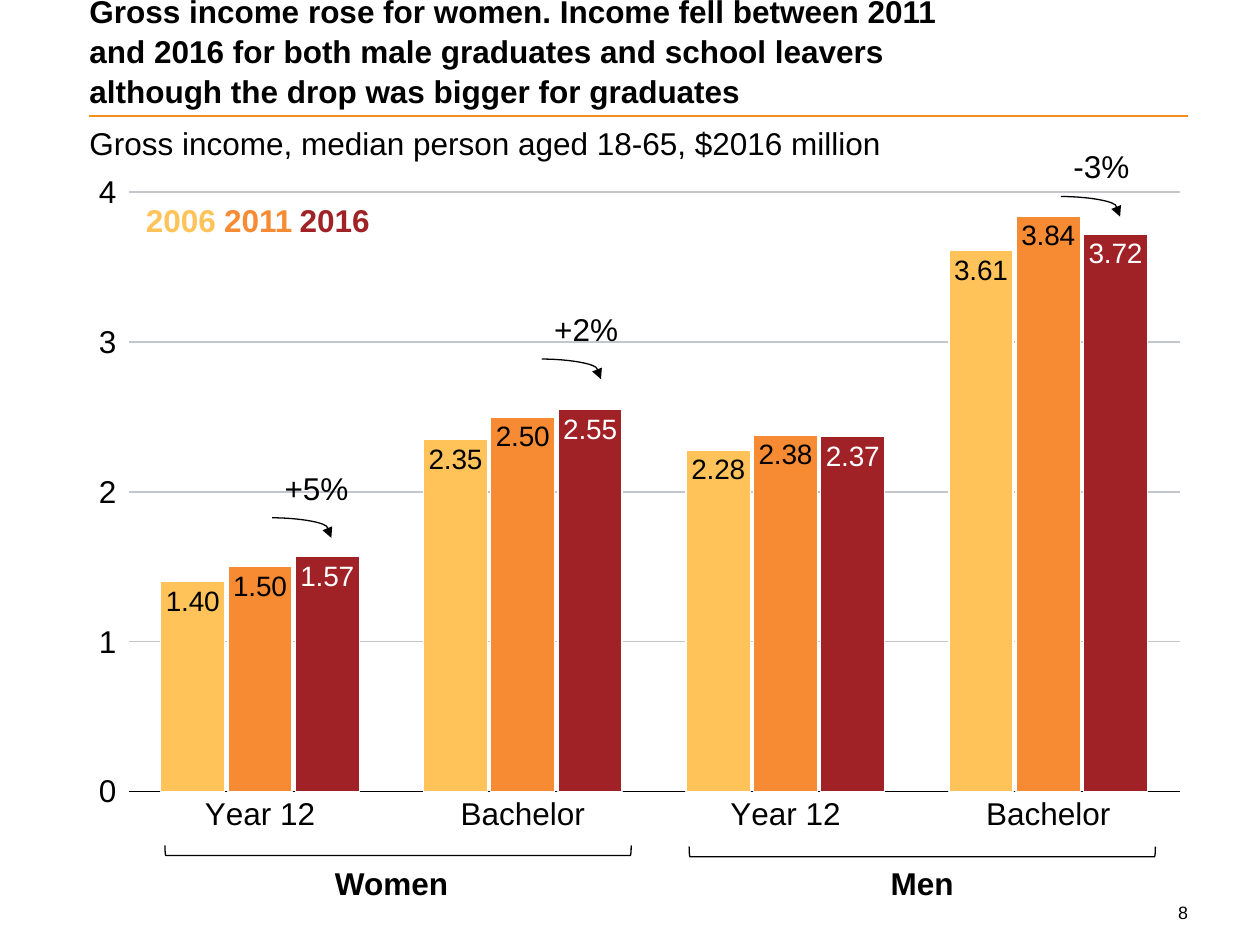
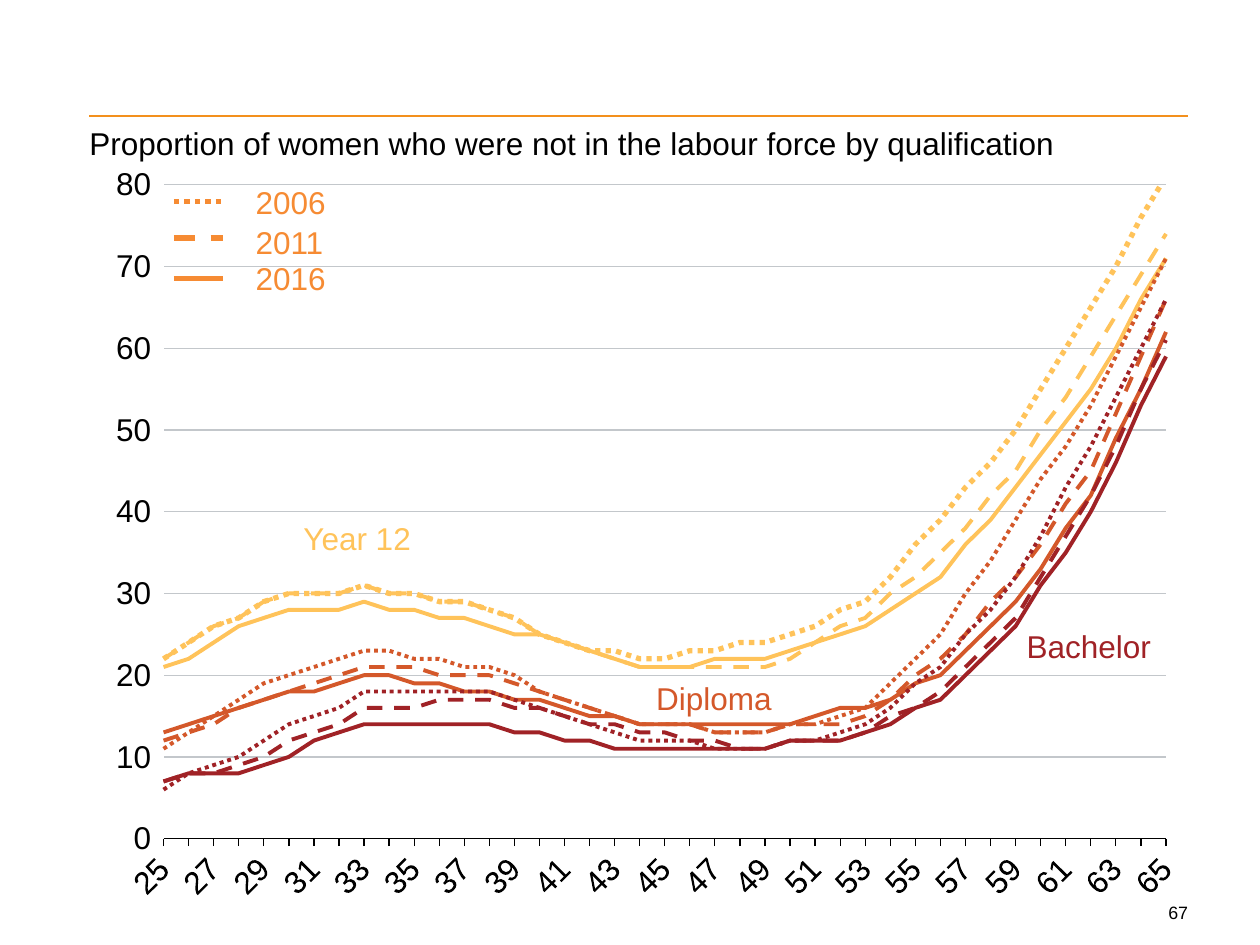
"""Build two slides on income and labour force participation by qualification."""
import itertools

import pptx
import pptx.chart.data
import pptx.dml.color
import pptx.enum.chart
import pptx.enum.dml
import pptx.enum.shapes
import pptx.enum.text
import pptx.oxml
import pptx.oxml.ns
import pptx.util

PX = 9144
FONT = "Arial"
BLACK, WHITE, GRID, RULE = "000000", "FFFFFF", "C3C7CB", "F3901D"
YELLOW, ORANGE, RUST, RED = "FFC35A", "F68B33", "D4582A", "A02226"
YEARS = ["2006", "2011", "2016"]
ALIGN = pptx.enum.text.PP_ALIGN
ANCHOR = pptx.enum.text.MSO_ANCHOR
CHART = pptx.enum.chart.XL_CHART_TYPE
TICK = pptx.enum.chart.XL_TICK_MARK
DASH = pptx.enum.dml.MSO_LINE
CONNECTOR = pptx.enum.shapes.MSO_CONNECTOR
DASHES = [DASH.ROUND_DOT, DASH.DASH, None]
qn = pptx.oxml.ns.qn


def px(*lengths):
    return [pptx.util.Emu(length * PX) for length in lengths]


def colour(code):
    return pptx.dml.color.RGBColor.from_string(code)


def element(tag, **attributes):
    prefix = tag.split(":")[0]
    node = pptx.oxml.parse_xml(f"<{tag} {pptx.oxml.ns.nsdecls(prefix)}/>")
    for name, value in attributes.items():
        node.set(name, str(value))
    return node


def style_font(font, size=18, code=BLACK, bold=False):
    font.name, font.size, font.bold = FONT, pptx.util.Pt(size), bold
    font.color.rgb = colour(code)


def style_line(line, code, width=0.75, dash=None):
    line.color.rgb = colour(code)
    line.width = pptx.util.Pt(width)
    if dash is not None:
        line.dash_style = dash


def yearly(ages, shares):
    values = [shares[0]]
    for (age, share), (next_age, next_share) in itertools.pairwise(zip(ages, shares)):
        slope = (next_share - share) / (next_age - age)
        values += [round(share + slope * step) for step in range(1, next_age - age + 1)]
    return values


class Deck:
    """Holds the shared style and the current slide."""

    def __init__(self):
        self.deck = pptx.Presentation()
        self.deck.slide_width, self.deck.slide_height = px(1000, 750)
        self.page = None

    def start(self, number, subtitle, title=None):
        self.page = self.deck.slides.add_slide(self.deck.slide_layouts[6])
        self.line(71, 92, 943, 92, RULE, 1.5)
        self.text(number, 926, 716, 17, 17, size=10.2, inset=False, align=ALIGN.RIGHT)
        if title:
            self.text(title, 71, -4, 698, 91, bold=True, inset=False, wrap=True,
                      anchor=ANCHOR.BOTTOM, spacing=1.05)
        self.text(subtitle, 71, 97, 873, 31, inset=False, wrap=True, spacing=1.05)

    def text(self, words, left, top, width, height=40, code=BLACK, size=18, bold=False,
             inset=True, wrap=False, align=ALIGN.LEFT, anchor=ANCHOR.TOP, spacing=None):
        box = self.page.shapes.add_textbox(*px(left, top, width, height))
        frame = box.text_frame
        frame.text = words
        frame.word_wrap = wrap
        frame.vertical_anchor = anchor
        if not inset:
            frame.margin_left = frame.margin_right = 0
            frame.margin_top = frame.margin_bottom = 0
        para = frame.paragraphs[0]
        para.alignment = align
        if spacing:
            para.line_spacing = spacing
        for span in para.runs:
            style_font(span.font, size, code, bold)

    def line(self, x1, y1, x2, y2, code, width, dash=None, kind=CONNECTOR.STRAIGHT):
        connector = self.page.shapes.add_connector(kind, *px(x1, y1, x2, y2))
        style_line(connector.line, code, width, dash)
        connector._element.spPr.append(element("a:effectLst"))
        return connector

    def curved_arrow(self, left, top):
        arrow = self.line(left, top, left + 47, top + 16, BLACK, 0.75, kind=CONNECTOR.CURVE)
        properties = arrow._element.spPr
        guides = properties.find(qn("a:prstGeom")).find(qn("a:avLst"))
        guides.append(element("a:gd", name="adj1", fmla="val 93700"))
        properties.find(qn("a:ln")).append(element("a:tailEnd", type="triangle"))

    def bracket(self, left, top):
        kind = pptx.enum.shapes.MSO_SHAPE.LEFT_BRACKET
        shape = self.page.shapes.add_shape(kind, *px(left, top, 8, 370))
        shape.rotation = 270
        shape.shadow.inherit = False
        shape.fill.background()
        style_line(shape.line, BLACK)

    def chart(self, kind, height, categories, series, plot_area, top_value, step, cross):
        data = pptx.chart.data.CategoryChartData()
        data.categories = categories
        for name, values in series:
            data.add_series(name, values)
        chart = self.page.shapes.add_chart(kind, *px(61, 128, 894, height), data).chart
        chart.has_legend = chart.has_title = False
        style_font(chart.font)
        chart.plots[0].vary_by_categories = False

        value_axis, category_axis = chart.value_axis, chart.category_axis
        value_axis.minimum_scale, value_axis.maximum_scale = 0, top_value
        value_axis.major_unit = step
        value_axis.has_major_gridlines = True
        style_line(value_axis.major_gridlines.format.line, GRID)
        value_axis.format.line.fill.background()
        value_axis.tick_labels.number_format = "0"
        value_axis.tick_labels.number_format_is_linked = False
        style_line(category_axis.format.line, BLACK)
        for axis in (value_axis, category_axis):
            style_font(axis.tick_labels.font)

        for old in value_axis._element.findall(qn("c:crossBetween")):
            value_axis._element.remove(old)
        crosses = value_axis._element.find(qn("c:crosses"))
        crosses.addnext(element("c:crossBetween", val=cross))
        self.place_plot(chart, plot_area)
        return chart

    def place_plot(self, chart, plot_area):
        area = chart._chartSpace.chart.plotArea
        for old in area.findall(qn("c:layout")):
            area.remove(old)
        layout, manual = element("c:layout"), element("c:manualLayout")
        manual.append(element("c:layoutTarget", val="inner"))
        for side in "xy":
            manual.append(element(f"c:{side}Mode", val="edge"))
        for side, share in zip("xywh", plot_area):
            manual.append(element(f"c:{side}", val=share))
        layout.append(manual)
        area.insert(0, layout)

    def columns(self, categories, series, codes, label_codes):
        chart = self.chart(CHART.COLUMN_CLUSTERED, 544, categories, series,
                           (0.046, 0.045, 0.933, 0.875), 4, 1, "between")
        chart.category_axis.major_tick_mark = TICK.NONE
        plot = chart.plots[0]
        plot.gap_width, plot.overlap = 100, -5
        for bars, code, label_code in zip(plot.series, codes, label_codes):
            bars.invert_if_negative = False
            bars.format.fill.solid()
            bars.format.fill.fore_color.rgb = colour(code)
            style_line(bars.format.line, WHITE)
            labels = bars.data_labels
            labels.show_value = True
            labels.number_format, labels.number_format_is_linked = "0.00", False
            labels.position = pptx.enum.chart.XL_LABEL_POSITION.INSIDE_END
            style_font(labels.font, 16, label_code)

    def lines(self, categories, series, codes):
        chart = self.chart(CHART.LINE, 587, categories, series,
                           (0.077, 0.032, 0.89, 0.886), 80, 10, "midCat")
        axis = chart.category_axis
        axis.major_tick_mark = TICK.OUTSIDE
        axis._element.find(qn("c:txPr")).find(qn("a:bodyPr")).set("rot", "-2700000")
        axis._element.find(qn("c:lblOffset")).addnext(element("c:tickLblSkip", val=2))
        for index, curve in enumerate(chart.plots[0].series):
            curve.smooth = False
            curve.marker.style = pptx.enum.chart.XL_MARKER_STYLE.NONE
            style_line(curve.format.line, codes[index // 3], 3 if index == 0 else 2.25,
                       DASHES[index % 3])


INCOMES = [
    [1.40, 2.35, 2.28, 3.61],
    [1.50, 2.50, 2.38, 3.84],
    [1.57, 2.55, 2.37, 3.72],
]

TURNING_AGES = [25, 29, 33, 38, 41, 44, 49, 53, 56, 59, 62, 65]
NOT_IN_LABOUR_FORCE = {
    "Year 12": [
        [22, 29, 31, 28, 24, 22, 24, 29, 39, 50, 65, 81],
        [22, 29, 31, 28, 24, 21, 21, 27, 35, 45, 59, 74],
        [21, 27, 29, 26, 24, 21, 22, 26, 32, 43, 55, 71],
    ],
    "Diploma": [
        [11, 19, 23, 21, 17, 14, 13, 16, 25, 39, 53, 71],
        [12, 17, 21, 20, 17, 14, 13, 15, 22, 32, 45, 66],
        [13, 17, 20, 18, 16, 14, 14, 16, 20, 29, 42, 62],
    ],
    "Bachelor": [
        [6, 12, 18, 18, 15, 12, 11, 14, 21, 32, 48, 66],
        [7, 10, 16, 17, 15, 13, 11, 13, 18, 27, 42, 61],
        [7, 9, 14, 14, 12, 11, 11, 13, 17, 26, 40, 59],
    ],
}


def income_slide(deck):
    deck.start("8", "Gross income, median person aged 18-65, $2016 million",
               "Gross income rose for women. Income fell between 2011 and 2016 for both male "
               "graduates and school leavers although the drop was bigger for graduates")
    codes = [YELLOW, ORANGE, RED]
    deck.columns(["Year 12", "Bachelor"] * 2, zip(YEARS, INCOMES), codes,
                 [BLACK, BLACK, WHITE])
    for group, left, width, bracket_left, bracket_top in [
            ("Women", 256, 111, 312, 490), ("Men", 697, 71, 728, 491)]:
        deck.text(group, left, 681, width, bold=True)
        deck.bracket(bracket_left, bracket_top)
    for year, left, code in zip(YEARS, (106, 168, 228), codes):
        deck.text(year, left, 155, 76, code=code, bold=True)
    for change, left, top, width in [
            ("+5%", 216, 367, 71), ("+2%", 430, 241, 71), ("-3%", 842, 112, 65)]:
        deck.text(change, left, top, width)
        deck.curved_arrow(left, top + 44)


def labour_force_slide(deck):
    deck.start("67", "Proportion of women who were not in the labour force by qualification")
    series = [(f"{level} {year}", yearly(TURNING_AGES, shares))
              for level, curves in NOT_IN_LABOUR_FORCE.items()
              for year, shares in zip(YEARS, curves)]
    deck.lines([str(age) for age in range(25, 66)], series, [YELLOW, RUST, RED])
    for level, left, top, width, code in [
            ("Bachelor", 805, 493, 120, RED), ("Diploma", 511, 534, 113, RUST),
            ("Year 12", 231, 407, 106, YELLOW)]:
        deck.text(level, left, top, width, code=code)
    for year, dash, top, line_y in zip(YEARS, DASHES, (140, 172, 201), (160, 189, 221)):
        deck.text(year, 193, top, 76, code=ORANGE)
        deck.line(138, line_y, 177, line_y, ORANGE, 3, dash)


def main():
    deck = Deck()
    income_slide(deck)
    labour_force_slide(deck)
    deck.deck.save("out.pptx")


if __name__ == "__main__":
    main()
